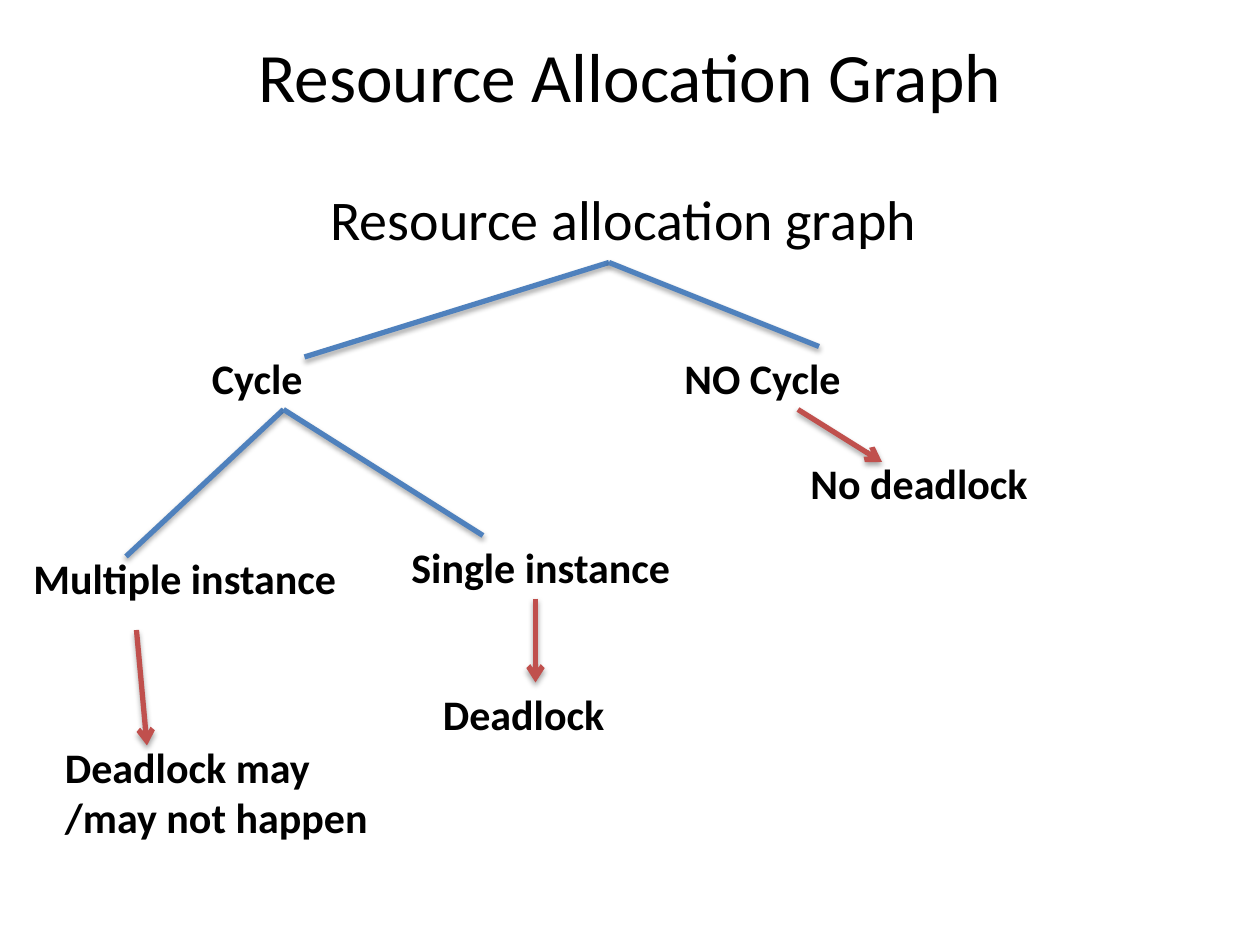
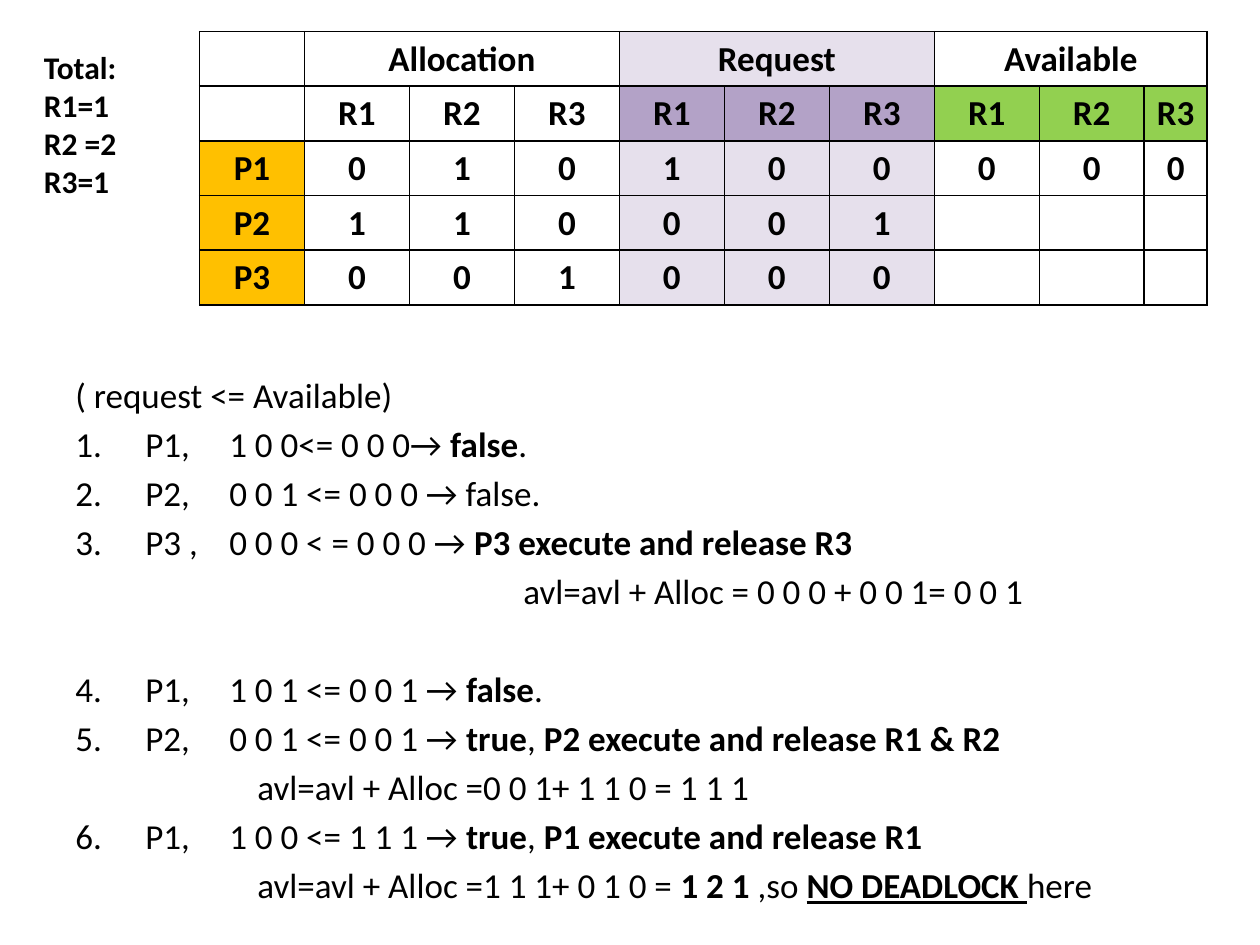
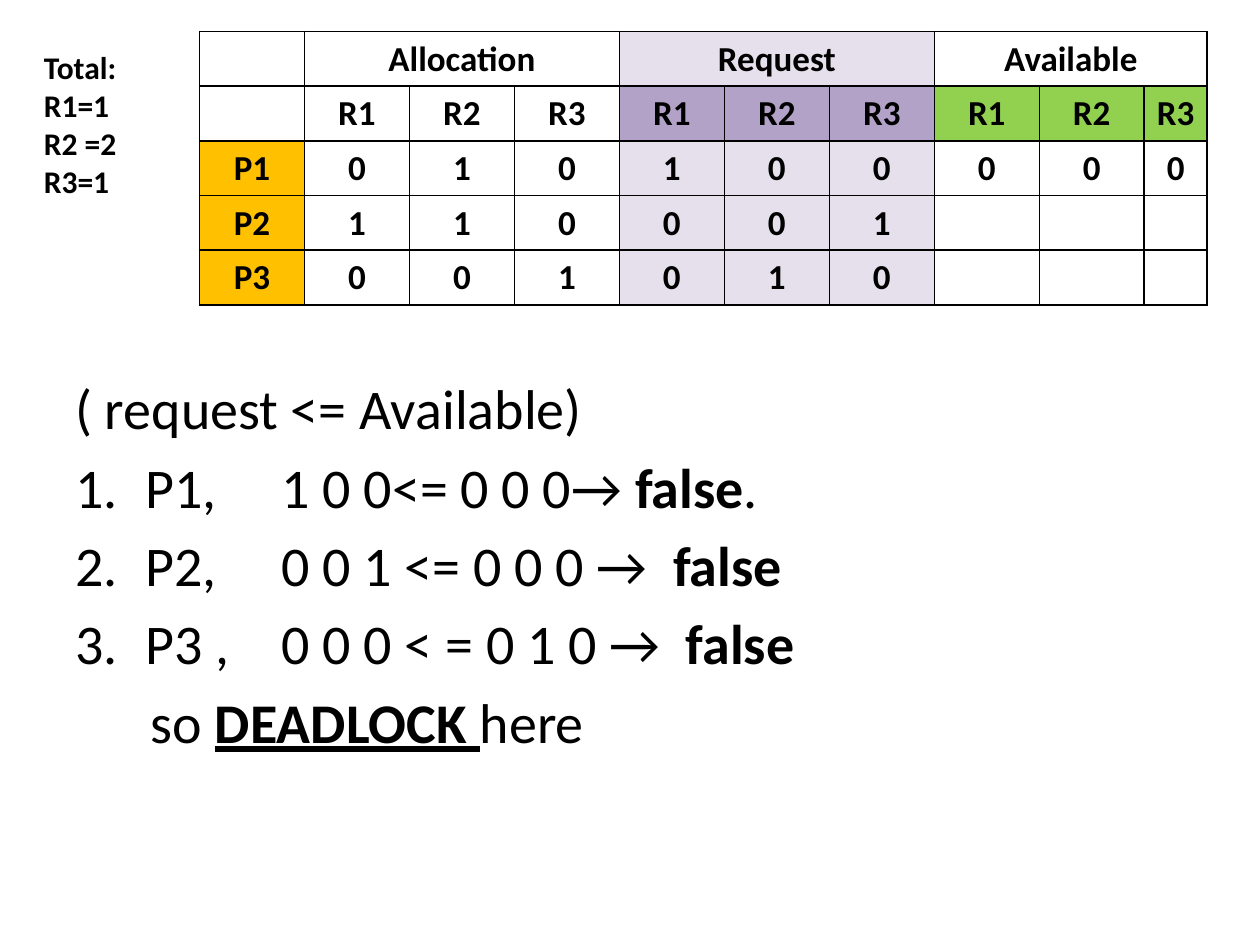
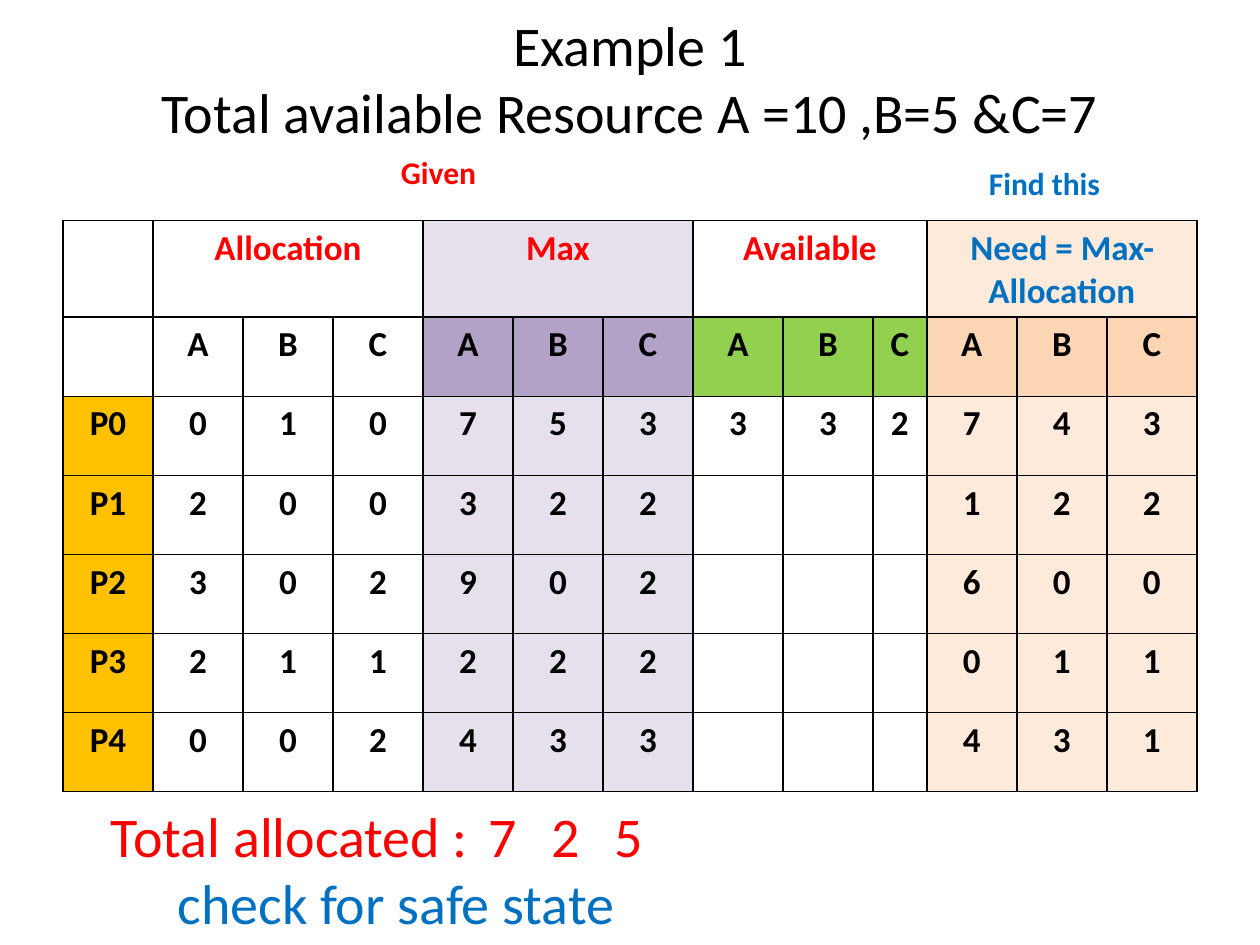
from lxml import etree
from pptx import Presentation
from pptx import util as u
from pptx.dml.color import RGBColor
from pptx.enum import shapes, text
from pptx.oxml import ns

FONT = "Calibri"
HUE = {
    "ink": "000000", "white": "FFFFFF", "red": "FF0000", "sky": "0070C0",
    "blue": "4F81BD", "brick": "C0504D", "gold": "FFC000", "green": "92D050",
    "lilac": "E6E0EC", "plum": "B3A2C7", "cream": "FDEADA", "peach": "FCD5B5",
}
MID, LEFT = text.PP_ALIGN.CENTER, text.PP_ALIGN.LEFT
STEP = 40

NODES = [
    ("Cycle", 114, 198, 162),
    ("NO Cycle", 384, 198, 162),
    ("Single instance", 228, 306, 198),
    ("No deadlock", 456, 258, 162),
    ("Deadlock may /may not happen", 30, 420, 204),
    ("Deadlock", 246, 390, 192),
    ("Multiple instance", 12, 312, 198),
]
FORKS = [
    ((348, 150), [(174, 204), (468, 198)]),
    ((162, 234), [(72, 318), (276, 306)]),
]
ARROWS = [
    ((456, 234), (504, 264)),
    ((306, 342), (306, 390)),
    ((78, 360), (84, 426)),
]

TOTAL = ["Total:", "R1=1", "R2 =2", "R3=1"]
ALLOC = ["010", "110", "001"]
FREE = ["000", "", ""]
RULE = (0, 0, ["( request <= Available)"])
FIRST = (1, 0, ["P1,\t1 0 0<= 0 0 0→ ", ("false", "b"), "."])
CASES = [
    {
        "ask": ["100", "001", "000"], "size": 20, "stop": 88,
        "lines": [
            RULE,
            FIRST,
            (2, 0, ["P2,\t0 0 1 <= 0 0 0 → false."]),
            (3, 0, ["P3 ,\t0 0 0 < = 0 0 0 → ", ("P3 execute and release R3", "b")]),
            (0, 256, ["avl=avl + Alloc = 0 0 0 + 0 0 1= 0 0 1"]),
            (4, 0, ["P1,\t1 0 1 <= 0 0 1 → ", ("false", "b"), "."]),
            (5, 0, ["P2,\t0 0 1 <= 0 0 1 → ", ("true", "b"), ", ",
                    ("P2 execute and release R1 & R2", "b")]),
            (0, 104, ["avl=avl + Alloc =0 0 1+ 1 1 0 = 1 1 1"]),
            (6, 0, ["P1,\t1 0 0 <= 1 1 1 → ", ("true", "b"), ", ",
                    ("P1 execute and release R1", "b")]),
            (0, 104, ["avl=avl + Alloc =1 1 1+ 0 1 0 = ", ("1 2 1 ", "b"), ",so ",
                      ("NO DEADLOCK ", "bu"), "here"]),
        ],
        "wide": {5: 32},
    },
    {
        "ask": ["100", "001", "010"], "size": 32, "stop": 118,
        "lines": [
            RULE,
            FIRST,
            (2, 0, ["P2,\t0 0 1 <= 0 0 0 → ", (" false", "b")]),
            (3, 0, ["P3 ,\t0 0 0 < = 0 1 0 → ", (" false", "b")]),
            (0, 43, ["so ", ("DEADLOCK ", "bu"), "here"]),
        ],
        "wide": {},
    },
]

BANK = [
    ("Allocation", "red", "white", "white", ["010", "200", "302", "211", "002"]),
    ("Max", "red", "lilac", "plum", ["753", "322", "902", "222", "433"]),
    ("Available", "red", "white", "green", ["332", "", "", "", ""]),
    ("Need = Max-Allocation", "sky", "cream", "peach", ["743", "122", "600", "011", "431"]),
]
LABELS = [("Find this", "sky", 558, 90, 82), ("Given", "red", 222, 84, 64)]


def tone(name):
    return RGBColor.from_string(HUE[name])


def node(dad, tag, **keys):
    return etree.SubElement(dad, ns.qn("a:" + tag), {k: str(v) for k, v in keys.items()})


def put(par, runs, size, hue="ink", bold=False, align=LEFT):
    par.alignment = align
    for item in runs:
        words, marks = (item, "") if isinstance(item, str) else item
        run = par.add_run()
        run.text = words
        font = run.font
        font.name, font.size = FONT, u.Pt(size)
        font.bold = bold or "b" in marks
        font.underline = "u" in marks
        font.color.rgb = tone(hue)


def frame(page, x, y, w, h, anchor=text.MSO_ANCHOR.TOP):
    box = page.shapes.add_textbox(*map(u.Pt, (x, y, w, h))).text_frame
    box.word_wrap = True
    box.vertical_anchor = anchor
    return box


def fill(box, lines, size, **look):
    for i, line in enumerate(lines):
        par = box.add_paragraph() if i else box.paragraphs[0]
        put(par, [line], size, **look)


def title(page, lines, y, h, size):
    fill(frame(page, 36, y, 648, h, text.MSO_ANCHOR.MIDDLE), lines, size, align=MID)


def indent(par, left, first=0, stops=()):
    props = par._p.get_or_add_pPr()
    props.set("marL", str(u.Pt(left)))
    props.set("indent", str(u.Pt(first)))
    return props


def tabs(props, stops):
    row = node(props, "tabLst")
    for stop in stops:
        node(row, "tab", pos=u.Pt(stop), algn="l")


def line(page, start, end, hue, arrow=False):
    ends = map(u.Pt, (*start, *end))
    link = page.shapes.add_connector(shapes.MSO_CONNECTOR.STRAIGHT, *ends)
    link.line.color.rgb = tone(hue)
    link.line.width = u.Pt(3)
    if arrow:
        node(link.line._get_or_add_ln(), "tailEnd", type="arrow")
    glow = node(node(link._element.spPr, "effectLst"), "outerShdw", blurRad=u.Pt(3.1),
                dist=u.Pt(1.8), dir=5400000, rotWithShape=0)
    node(node(glow, "srgbClr", val=HUE["ink"]), "alpha", val=35000)


def paint(cell, words, back, hue="ink"):
    for side in ("lnL", "lnR", "lnT", "lnB"):
        edge = node(cell._tc.get_or_add_tcPr(), side, w=u.Pt(1))
        node(node(edge, "solidFill"), "srgbClr", val=HUE["ink"])
    cell.fill.solid()
    cell.fill.fore_color.rgb = tone(back)
    if words:
        put(cell.text_frame.paragraphs[0], [words], 20, hue, True, MID)


def grid(page, groups, heads, names, x, y, w, tall):
    count = 1 + 3 * len(groups)
    unit = w / (count - 0.4)
    size = map(u.Pt, (x, y, w, sum(tall)))
    tab = page.shapes.add_table(len(tall), count, *size).table
    tab.first_row = tab.horz_banding = False
    for i, col in enumerate(tab.columns):
        col.width = u.Pt(unit * (0.6 if i == 9 else 1))
    for row, h in zip(tab.rows, tall):
        row.height = u.Pt(h)
    for r, name in enumerate(["", ""] + names):
        paint(tab.cell(r, 0), name, "gold" if name else "white")
    for g, (name, hue, back, head, data) in enumerate(groups):
        for k in range(3):
            col = 1 + 3 * g + k
            paint(tab.cell(0, col), "" if k else name, back, hue)
            paint(tab.cell(1, col), heads[k], head)
            for r, vals in enumerate(data, 2):
                paint(tab.cell(r, col), vals[k:k + 1], back)
        tab.cell(0, 3 * g + 1).merge(tab.cell(0, 3 * g + 3))


def tree(page):
    title(page, ["Resource Allocation Graph"], 21.6, 42, 39.6)
    body = frame(page, 36, 102.2, 648, 380)
    fill(body, ["Resource allocation graph "], 32, align=MID)
    body.paragraphs[0].space_before = u.Pt(6.4)
    for root, tips in FORKS:
        for tip in tips:
            line(page, root, tip, "blue")
    for words, x, y, w in NODES:
        fill(frame(page, x, y, w, 36), [words], 24, bold=True)
    for start, end in ARROWS:
        line(page, start, end, "brick", True)


def check(page, case):
    size, stop = case["size"], case["stop"]
    body = frame(page, 36, 210, 648, 272)
    for i, (num, left, runs) in enumerate(case["lines"]):
        par = body.add_paragraph() if i else body.paragraphs[0]
        put(par, runs, size)
        par.space_before = u.Pt(case["wide"].get(i, size / 5))
        if num:
            props = indent(par, STEP, -STEP)
            node(props, "buFont", typeface="+mj-lt")
            node(props, "buAutoNum", type="arabicPeriod", startAt=num)
            tabs(props, (stop - STEP, stop))
        else:
            indent(par, left)
    groups = [
        ("Allocation", "ink", "white", "white", ALLOC),
        ("Request", "ink", "lilac", "plum", case["ask"]),
        ("Available", "ink", "white", "green", FREE),
    ]
    grid(page, groups, ["R1", "R2", "R3"], ["P1", "P2", "P3"], 114, 18, 576, [31.2] * 5)
    fill(frame(page, 18, 24, 96, 94), TOTAL, 18, bold=True)


def bank(page):
    title(page, ["Example 1", "Total available Resource A =10 ,B=5 &C=7"], 2, 85, 32)
    names = [f"P{i}" for i in range(5)]
    grid(page, BANK, "ABC", names, 36, 126, 648, [52.6] + [45.2] * 6)
    foot = frame(page, 24, 474, 426, 44.6, text.MSO_ANCHOR.MIDDLE)
    foot.margin_left = u.Pt(39.4)
    put(foot.paragraphs[0], ["Total allocated :\t7\t2\t5"], 32, "red")
    tabs(indent(foot.paragraphs[0], 0), [226 + 45 * i for i in range(3)])
    last = foot.add_paragraph()
    put(last, ["check for safe state"], 32, "sky")
    indent(last, 38)
    for words, hue, x, y, w in LABELS:
        fill(frame(page, x, y, w, 29), [words], 18, hue=hue, bold=True)


def main():
    deck = Presentation()
    deck.slide_width, deck.slide_height = u.Pt(720), u.Pt(540)
    blank = deck.slide_layouts[6]
    tree(deck.slides.add_slide(blank))
    for case in CASES:
        check(deck.slides.add_slide(blank), case)
    bank(deck.slides.add_slide(blank))
    deck.save("out.pptx")


if __name__ == "__main__":
    main()
